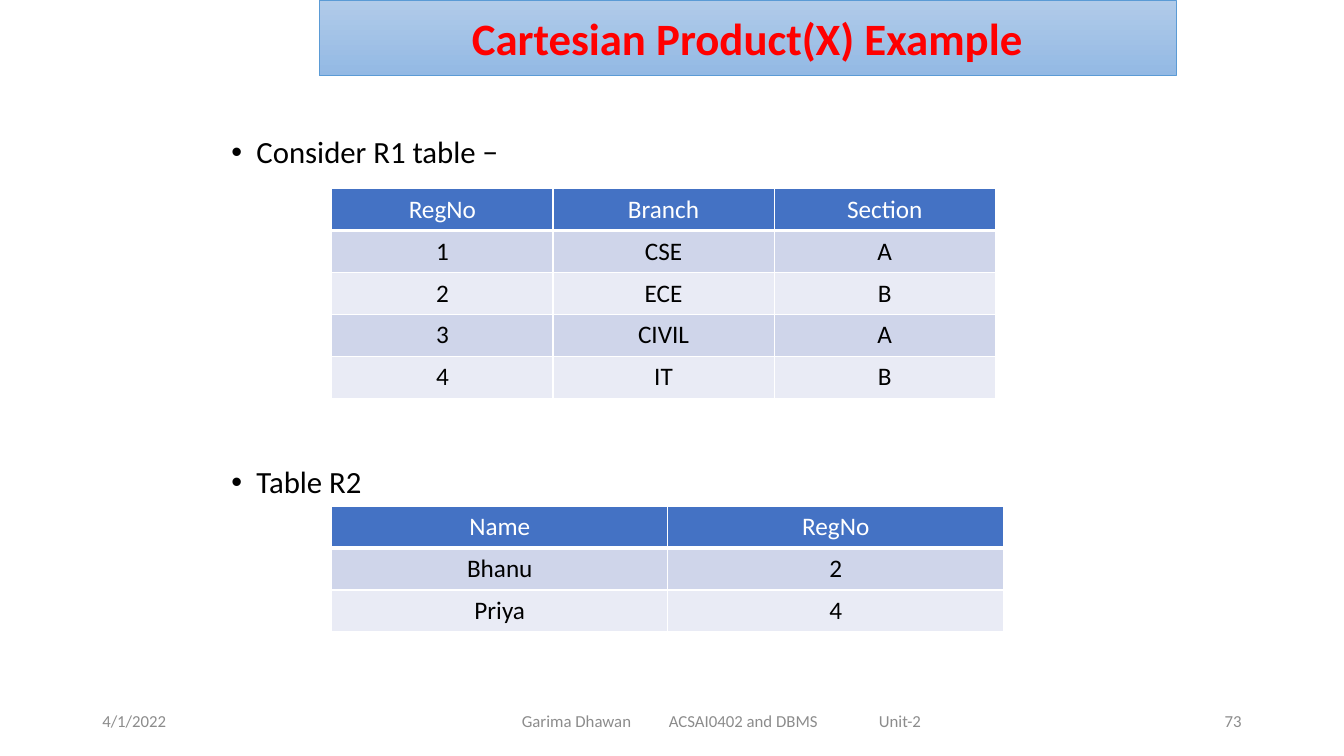
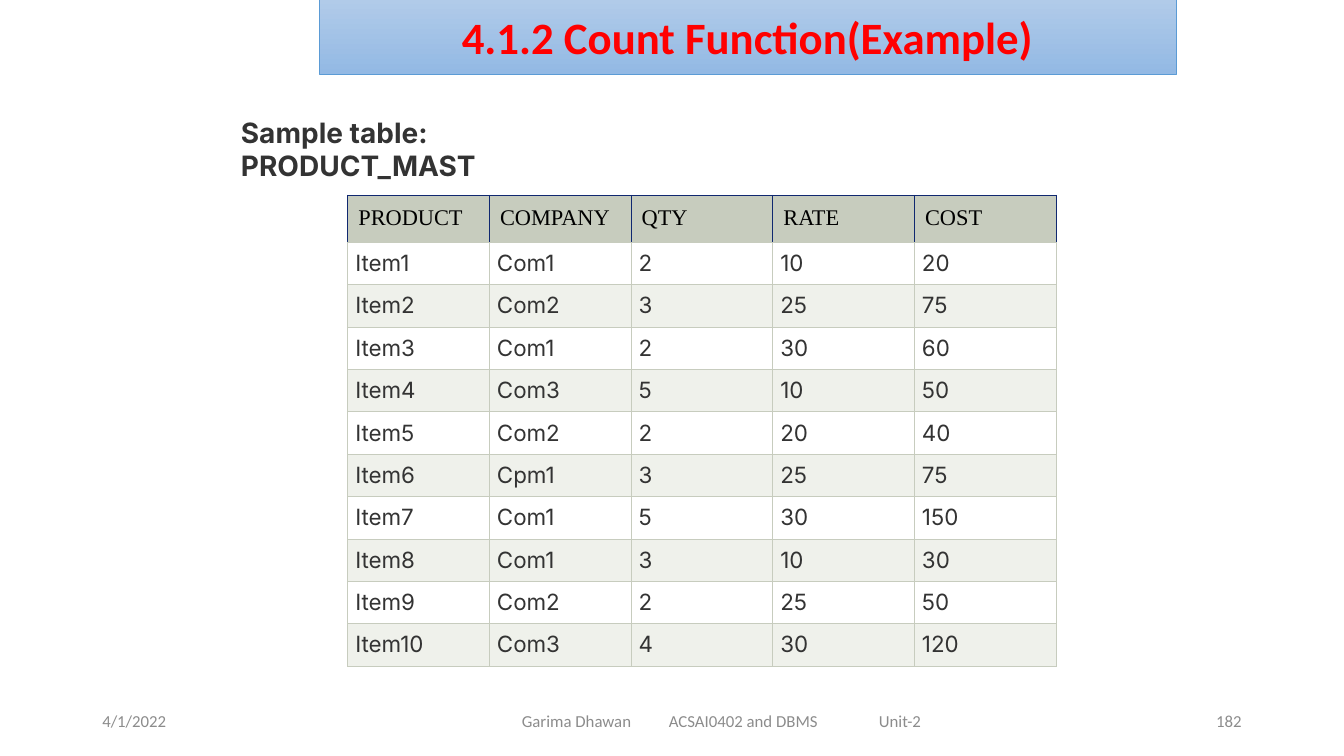
"""Builds two database lecture slides with example tables."""
from lxml import etree
from pptx import Presentation
from pptx.dml.color import RGBColor
from pptx.enum.text import MSO_ANCHOR, MSO_AUTO_SIZE, PP_ALIGN
from pptx.oxml.ns import qn
from pptx.util import Pt

LEFT, CENTER, RIGHT, JUSTIFY = PP_ALIGN.LEFT, PP_ALIGN.CENTER, PP_ALIGN.RIGHT, PP_ALIGN.JUSTIFY
TOP, MIDDLE = MSO_ANCHOR.TOP, MSO_ANCHOR.MIDDLE
NO_AUTOFIT = MSO_AUTO_SIZE.NONE

WHITE = RGBColor(0xFF, 0xFF, 0xFF)
BLACK = RGBColor(0x00, 0x00, 0x00)
RED = RGBColor(0xFF, 0x00, 0x00)
GRAY = RGBColor(0x8C, 0x8C, 0x8C)
CHARCOAL = RGBColor(0x33, 0x33, 0x33)
BAND_TOP = RGBColor(0xB1, 0xCB, 0xE9)
BAND_BOTTOM = RGBColor(0x93, 0xB9, 0xE4)
BAND_LINE = RGBColor(0x5B, 0x9B, 0xD5)
BLUE = RGBColor(0x44, 0x72, 0xC4)
BLUE_TINT = RGBColor(0xCF, 0xD5, 0xEA)
BLUE_PALE = RGBColor(0xE9, 0xEB, 0xF5)
SAGE = RGBColor(0xC7, 0xCC, 0xBE)
SAGE_PALE = RGBColor(0xEF, 0xF1, 0xEB)
NAVY = RGBColor(0x10, 0x28, 0x70)

TITLE_FONT = {"name": "Calibri", "size": Pt(32), "bold": True, "color": RED}
BODY_FONT = {"name": "Calibri", "size": Pt(22), "color": BLACK}
FOOTER_FONT = {"name": "Calibri", "size": Pt(12), "color": GRAY}
LABEL_FONT = {"name": "Inter", "size": Pt(20), "bold": True, "color": CHARCOAL}

BORDER_TAGS = ("lnL", "lnR", "lnT", "lnB")
FOOTER_TABS = (105, 255)

BLUE_HEADER = {
    "font": {"name": "Calibri", "size": Pt(18), "color": WHITE},
    "fills": (BLUE,), "align": CENTER, "margin": 4, "height": 30,
    "borders": ((WHITE, 1), (WHITE, 1), (WHITE, 1), (WHITE, 3)),
}
BLUE_ROWS = {
    **BLUE_HEADER,
    "font": {**BLUE_HEADER["font"], "color": BLACK},
    "fills": (BLUE_TINT, BLUE_PALE),
    "borders": ((WHITE, 1), (WHITE, 1), None, (WHITE, 1)),
}
SAGE_HEADER = {
    "font": {"name": "Times New Roman", "size": Pt(16), "color": BLACK},
    "fills": (SAGE,), "align": LEFT, "margin": 7.6, "height": 33.6,
    "borders": ((NAVY, 0.75),) * 3 + ((SAGE, 0.75),),
}
SAGE_ROWS = {
    "font": {"name": "Inter", "size": Pt(16), "color": CHARCOAL},
    "fills": (WHITE, SAGE_PALE), "align": JUSTIFY, "margin": 5.4, "height": 30.3,
    "borders": ((SAGE, 0.75),) * 4,
}

R1_ROWS = [
    ("RegNo", "Branch", "Section"),
    ("1", "CSE", "A"),
    ("2", "ECE", "B"),
    ("3", "CIVIL", "A"),
    ("4", "IT", "B"),
]
R2_ROWS = [("Name", "RegNo"), ("Bhanu", "2"), ("Priya", "4")]
PRODUCT_ROWS = [
    ("PRODUCT", "COMPANY", "QTY", "RATE", "COST"),
    ("Item1", "Com1", "2", "10", "20"),
    ("Item2", "Com2", "3", "25", "75"),
    ("Item3", "Com1", "2", "30", "60"),
    ("Item4", "Com3", "5", "10", "50"),
    ("Item5", "Com2", "2", "20", "40"),
    ("Item6", "Cpm1", "3", "25", "75"),
    ("Item7", "Com1", "5", "30", "150"),
    ("Item8", "Com1", "3", "10", "30"),
    ("Item9", "Com2", "2", "25", "50"),
    ("Item10", "Com3", "4", "30", "120"),
]


def set_attributes(target, values):
    """Set every attribute named in the dict."""
    for name, value in values.items():
        setattr(target, name, value)


def format_font(font, values):
    """Apply font values, with the colour under its own key."""
    set_attributes(font, {name: value for name, value in values.items() if name != "color"})
    font.color.rgb = values["color"]


def place(shape, left, top, width, height):
    """Move and size a shape in points."""
    set_attributes(shape, {"left": Pt(left), "top": Pt(top),
                           "width": Pt(width), "height": Pt(height)})


def format_frame(frame, anchor):
    """Give a text frame wrapping, a fixed size and an anchor."""
    set_attributes(frame, {"word_wrap": True, "auto_size": NO_AUTOFIT,
                           "vertical_anchor": anchor})


def add_text(slide, box, lines, font, align=LEFT):
    """Add a middle-anchored text box with one paragraph per line."""
    shape = slide.shapes.add_textbox(*map(Pt, box))
    frame = shape.text_frame
    format_frame(frame, MIDDLE)
    frame.text = "\n".join(lines)
    for paragraph in frame.paragraphs:
        paragraph.alignment = align
        format_font(paragraph.font, font)
    return shape


def add_tab_stops(paragraph, positions):
    """Add left tab stops at positions in points."""
    properties = paragraph._p.get_or_add_pPr()
    tab_list = etree.Element(qn("a:tabLst"))
    for position in positions:
        etree.SubElement(tab_list, qn("a:tab"), pos=str(Pt(position)), algn="l")
    properties.insert_element_before(tab_list, "a:defRPr", "a:extLst")


def add_footer(slide, number):
    """Add the date, course line and slide number."""
    add_text(slide, (66, 500.5, 216, 28.8), ["4/1/2022"], FOOTER_FONT)
    course = add_text(slide, (318, 500.5, 396, 28.8), [""], FOOTER_FONT)
    course.text_frame.margin_left = Pt(54.8)
    paragraph = course.text_frame.paragraphs[0]
    add_tab_stops(paragraph, FOOTER_TABS)
    paragraph.text = "Garima Dhawan\tACSAI0402 and DBMS\tUnit-2"
    add_text(slide, (678, 500.5, 216, 28.8), [number], FOOTER_FONT, RIGHT)


def format_title(slide, text, top):
    """Turn the title placeholder into the gradient band."""
    title = slide.shapes.title
    place(title, 228, top, 612, 54)
    title.fill.gradient()
    title.fill.gradient_angle = 270
    for stop, color in zip(title.fill.gradient_stops, (BAND_TOP, BAND_BOTTOM)):
        stop.color.rgb = color
    title.line.color.rgb = BAND_LINE
    title.line.width = Pt(0.5)
    format_frame(title.text_frame, MIDDLE)
    paragraph = title.text_frame.paragraphs[0]
    paragraph.text = text
    paragraph.alignment = CENTER
    format_font(paragraph.font, TITLE_FONT)


def fill_bullets(body, items):
    """Write (text, space before) bullets into the body placeholder."""
    place(body, 158, 94.3, 648, 384.5)
    frame = body.text_frame
    format_frame(frame, TOP)
    frame.text = "\n".join(text for text, _ in items)
    for paragraph, (_, space_before) in zip(frame.paragraphs, items):
        properties = paragraph._p.get_or_add_pPr()
        properties.set("marL", str(Pt(18)))
        properties.set("indent", str(Pt(-18)))
        set_attributes(paragraph, {"space_before": Pt(space_before), "line_spacing": 0.9})
        format_font(paragraph.font, BODY_FONT)


def set_borders(cell, borders):
    """Draw the left, right, top and bottom borders of a cell."""
    properties = cell._tc.get_or_add_tcPr()
    present = [pair for pair in zip(BORDER_TAGS, borders) if pair[1]]
    for index, (tag, (color, width)) in enumerate(present):
        line = etree.Element(qn(f"a:{tag}"), w=str(Pt(width)))
        fill = etree.SubElement(line, qn("a:solidFill"))
        etree.SubElement(fill, qn("a:srgbClr"), val=str(color))
        properties.insert(index, line)


def format_cell(cell, text, style, fill):
    """Write and format one table cell."""
    margin = Pt(style["margin"])
    set_attributes(cell, {"margin_left": margin, "margin_right": margin,
                          "margin_top": margin, "margin_bottom": margin})
    cell.fill.solid()
    cell.fill.fore_color.rgb = fill
    set_borders(cell, style["borders"])
    paragraph = cell.text_frame.paragraphs[0]
    paragraph.text = text
    paragraph.alignment = style["align"]
    format_font(paragraph.font, style["font"])


def add_table(slide, left, top, width, rows, header_style, row_style):
    """Add a table with equal columns, a header and alternating rows."""
    styles = [header_style] + [row_style] * (len(rows) - 1)
    height = sum(style["height"] for style in styles)
    column_count = len(rows[0])
    table = slide.shapes.add_table(len(rows), column_count, Pt(left), Pt(top),
                                   Pt(width), Pt(height)).table
    for column in table.columns:
        column.width = Pt(width / column_count)
    for index, (values, style) in enumerate(zip(rows, styles)):
        table.rows[index].height = Pt(style["height"])
        fills = style["fills"]
        fill = fills[(index - 1) % len(fills)]
        for column_index, text in enumerate(values):
            format_cell(table.cell(index, column_index), text, style, fill)


def add_slide(presentation, layout_index, title, title_top, number):
    """Add a slide with its title band and footer."""
    slide = presentation.slides.add_slide(presentation.slide_layouts[layout_index])
    format_title(slide, title, title_top)
    add_footer(slide, number)
    return slide


def build_cartesian_slide(presentation):
    """Build the slide with relations R1 and R2."""
    slide = add_slide(presentation, 1, "Cartesian Product(X) Example", 0, "73")
    fill_bullets(slide.placeholders[1], [("Consider R1 table −", 0), ("Table R2", 212)])
    add_table(slide, 237, 134.6, 474, R1_ROWS, BLUE_HEADER, BLUE_ROWS)
    add_table(slide, 237, 361.4, 480, R2_ROWS, BLUE_HEADER, BLUE_ROWS)


def build_count_slide(presentation):
    """Build the slide with the product table."""
    slide = add_slide(presentation, 5, "4.1.2 Count Function(Example)", -1, "182")
    add_table(slide, 248.4, 139.5, 506, PRODUCT_ROWS, SAGE_HEADER, SAGE_ROWS)
    label = add_text(slide, (165, 78.5, 234, 55.4),
                     ["Sample table:", "PRODUCT_MAST"], LABEL_FONT)
    label.fill.solid()
    label.fill.fore_color.rgb = WHITE


def main():
    """Build and save the presentation."""
    presentation = Presentation()
    set_attributes(presentation, {"slide_width": Pt(960), "slide_height": Pt(540)})
    build_cartesian_slide(presentation)
    build_count_slide(presentation)
    presentation.save("out.pptx")


if __name__ == "__main__":
    main()
